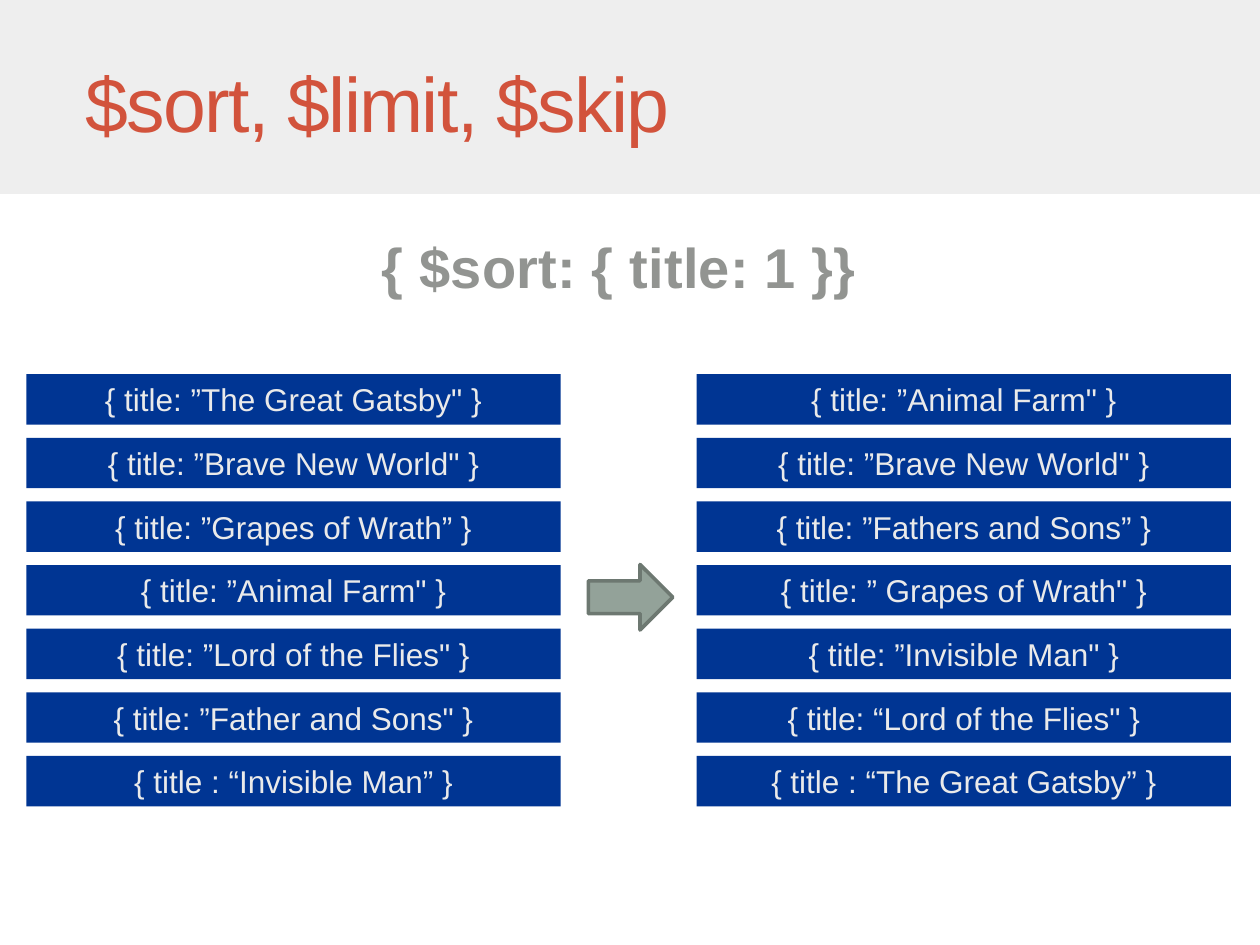
from dataclasses import dataclass

from pptx import Presentation
from pptx.dml.color import RGBColor
from pptx.enum.shapes import MSO_SHAPE as Shape
from pptx.enum.text import MSO_ANCHOR as Anchor, PP_ALIGN as Align
from pptx.util import Inches, Pt


@dataclass(frozen=True)
class Theme:
    font: str = "Arial"
    band: str = "EEEEEE"
    title: str = "D2533C"
    heading: str = "929491"
    bar: str = "003593"
    bar_text: str = "EAEAEA"
    arrow: str = "93A299"
    arrow_line: str = "6D7871"
    title_size: int = 44
    heading_size: int = 32
    bar_size: int = 18


THEME = Theme()
BAR_WIDTH, BAR_HEIGHT = 4.24, 0.4
FIRST_TOP, LAST_TOP = 2.97, 6.0
UNSORTED = [
    '{ title: ”The Great Gatsby" }',
    '{ title: ”Brave New World" }',
    '{ title: ”Grapes of Wrath” }',
    '{ title: ”Animal Farm" }',
    '{ title: ”Lord of the Flies" }',
    '{ title: ”Father and Sons" }',
    '{ title : “Invisible Man” }',
]
SORTED = [
    '{ title: ”Animal Farm" }',
    '{ title: ”Brave New World" }',
    '{ title: ”Fathers and Sons” }',
    '{ title: ” Grapes of Wrath" }',
    '{ title: ”Invisible Man" }',
    '{ title: “Lord of the Flies" }',
    '{ title : “The Great Gatsby” }',
]


def write_text(shape, text, *, size, color, bold=False, align=Align.LEFT, spacing=0):
    frame = shape.text_frame
    frame.word_wrap = True
    frame.vertical_anchor = Anchor.MIDDLE
    frame.margin_left = frame.margin_right = 0
    frame.margin_top = frame.margin_bottom = 0
    paragraph = frame.paragraphs[0]
    paragraph.alignment = align
    run = paragraph.add_run()
    run.text = text
    run.font.name = THEME.font
    run.font.size = Pt(size)
    run.font.bold = bold
    run.font.color.rgb = RGBColor.from_string(color)
    if spacing:
        run.font._element.set("spc", str(round(spacing * 100)))


def add_block(slide, kind, box, fill, line=None, line_width=0):
    shape = slide.shapes.add_shape(kind, *map(Inches, box))
    shape.shadow.inherit = False
    shape.fill.solid()
    shape.fill.fore_color.rgb = RGBColor.from_string(fill)
    if line:
        shape.line.color.rgb = RGBColor.from_string(line)
        shape.line.width = Pt(line_width)
    else:
        shape.line.fill.background()
    return shape


def add_label(slide, text, box, **text_format):
    write_text(slide.shapes.add_textbox(*map(Inches, box)), text, **text_format)


def add_documents(slide, left, documents):
    pitch = (LAST_TOP - FIRST_TOP) / (len(documents) - 1)
    for row, document in enumerate(documents):
        box = (left, FIRST_TOP + row * pitch, BAR_WIDTH, BAR_HEIGHT)
        bar = add_block(slide, Shape.RECTANGLE, box, THEME.bar)
        write_text(bar, document, size=THEME.bar_size, color=THEME.bar_text,
                   align=Align.CENTER)


def main():
    presentation = Presentation()
    presentation.slide_width = Inches(10)
    presentation.slide_height = Inches(7.5)
    slide = presentation.slides.add_slide(presentation.slide_layouts[6])

    add_block(slide, Shape.RECTANGLE, (0, 0, 10, 1.54), THEME.band)
    add_label(slide, "$sort, $limit, $skip", (0.68, 0.43, 5.36, 0.76),
              size=THEME.title_size, color=THEME.title, spacing=-1)
    add_label(slide, "{ $sort: { title: 1 }}", (3.03, 1.83, 3.89, 0.56),
              size=THEME.heading_size, color=THEME.heading, bold=True, spacing=0.1)
    add_documents(slide, 0.21, UNSORTED)
    add_documents(slide, 5.53, SORTED)
    add_block(slide, Shape.RIGHT_ARROW, (4.67, 4.48, 0.67, 0.52), THEME.arrow,
              line=THEME.arrow_line, line_width=2.08)

    presentation.save("out.pptx")


if __name__ == "__main__":
    main()
